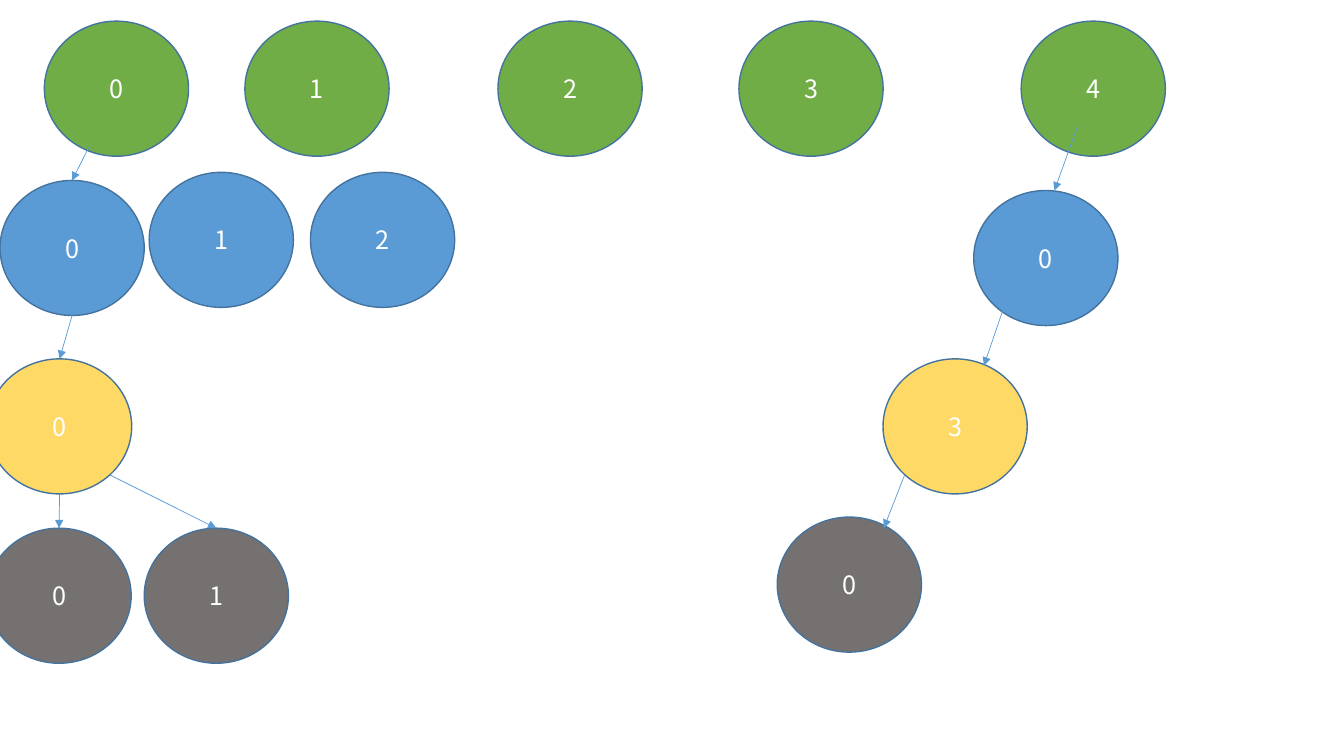
from pptx import Presentation
from pptx.dml.color import RGBColor
from pptx.enum.shapes import MSO_CONNECTOR, MSO_SHAPE
from pptx.enum.text import MSO_ANCHOR, PP_ALIGN
from pptx.oxml.ns import qn
from pptx.util import Inches, Pt
from lxml.etree import SubElement

GREEN, BLUE, YELLOW, GREY = "70AD47", "5B9BD5", "FFD966", "767171"
EDGE, WHITE = "43739E", "FFFFFF"


def tint(code):
    return RGBColor.from_string(code)


class Tree:
    """Draws nodes and links on a grid of 100 columns by 100 rows."""
    font, size = "Noto Sans CJK KR", Pt(18)
    wide, high = 10.73, 17.87  # node size in columns and rows

    def __init__(self, deck):
        self.slide = deck.slides.add_slide(deck.slide_layouts[6])
        self.col = deck.slide_width / 100
        self.row = deck.slide_height / 100

    def spot(self, col, row):
        return round(col * self.col), round(row * self.row)

    def node(self, text, fill, col, row):
        oval = self.slide.shapes.add_shape(
            MSO_SHAPE.OVAL, *self.spot(col, row), *self.spot(self.wide, self.high))
        oval.shadow.inherit = False
        oval.fill.solid()
        oval.fill.fore_color.rgb = tint(fill)
        oval.line.color.rgb = tint(EDGE)
        oval.line.width = Pt(1)
        frame = oval.text_frame
        frame.vertical_anchor = MSO_ANCHOR.MIDDLE
        para = frame.paragraphs[0]
        para.text = text
        para.alignment = PP_ALIGN.CENTER
        para.font.name, para.font.size = self.font, self.size
        para.font.color.rgb = tint(WHITE)
        return col, row

    def link(self, start, leave, end, enter):
        """Join two nodes; leave and enter are shares of a node's size."""
        ends = [self.spot(col + x * self.wide, row + y * self.high)
                for (col, row), (x, y) in ((start, leave), (end, enter))]
        line = self.slide.shapes.add_connector(MSO_CONNECTOR.STRAIGHT, *ends[0], *ends[1])
        line.line.color.rgb = tint(BLUE)
        line.line.width = Pt(0.5)
        SubElement(line.line._get_or_add_ln(), qn("a:tailEnd"), type="triangle")
        SubElement(line._element.spPr, qn("a:effectLst"))


def main():
    deck = Presentation()
    deck.slide_width, deck.slide_height = Inches(13.33), Inches(7.5)
    tree = Tree(deck)

    # Top level
    tops = [tree.node(str(i), GREEN, col, 2.8)
            for i, col in enumerate((3.3, 18.22, 37.05, 54.98, 75.98))]

    # Left branch
    blue = tree.node("0", BLUE, 0, 23.87)
    for text, col in (("1", 11.1), ("2", 23.1)):
        tree.node(text, BLUE, col, 22.8)
    gold = tree.node("0", YELLOW, -0.93, 47.47)
    leaves = [tree.node(text, GREY, col, 69.87)
              for text, col in (("0", -0.97), ("1", 10.73))]

    # Right branch
    sky = tree.node("0", BLUE, 72.45, 25.2)
    sun = tree.node("3", YELLOW, 65.7, 47.47)
    ash = tree.node("0", GREY, 57.83, 68.4)

    # Links
    top, base = (0.5, 0), (0.5, 1)
    for link in (
        (tops[0], (0.31, 0.93), blue, top),
        (blue, base, gold, top),
        (gold, base, leaves[0], top),
        (gold, (0.85, 0.86), leaves[1], top),
        (tops[4], (0.39, 0.78), sky, (0.56, 0)),
        (sky, (0.22, 0.83), sun, (0.7, 0.05)),
        (sun, (0.15, 0.86), ash, (0.74, 0.08)),
    ):
        tree.link(*link)

    deck.save("out.pptx")


if __name__ == "__main__":
    main()
